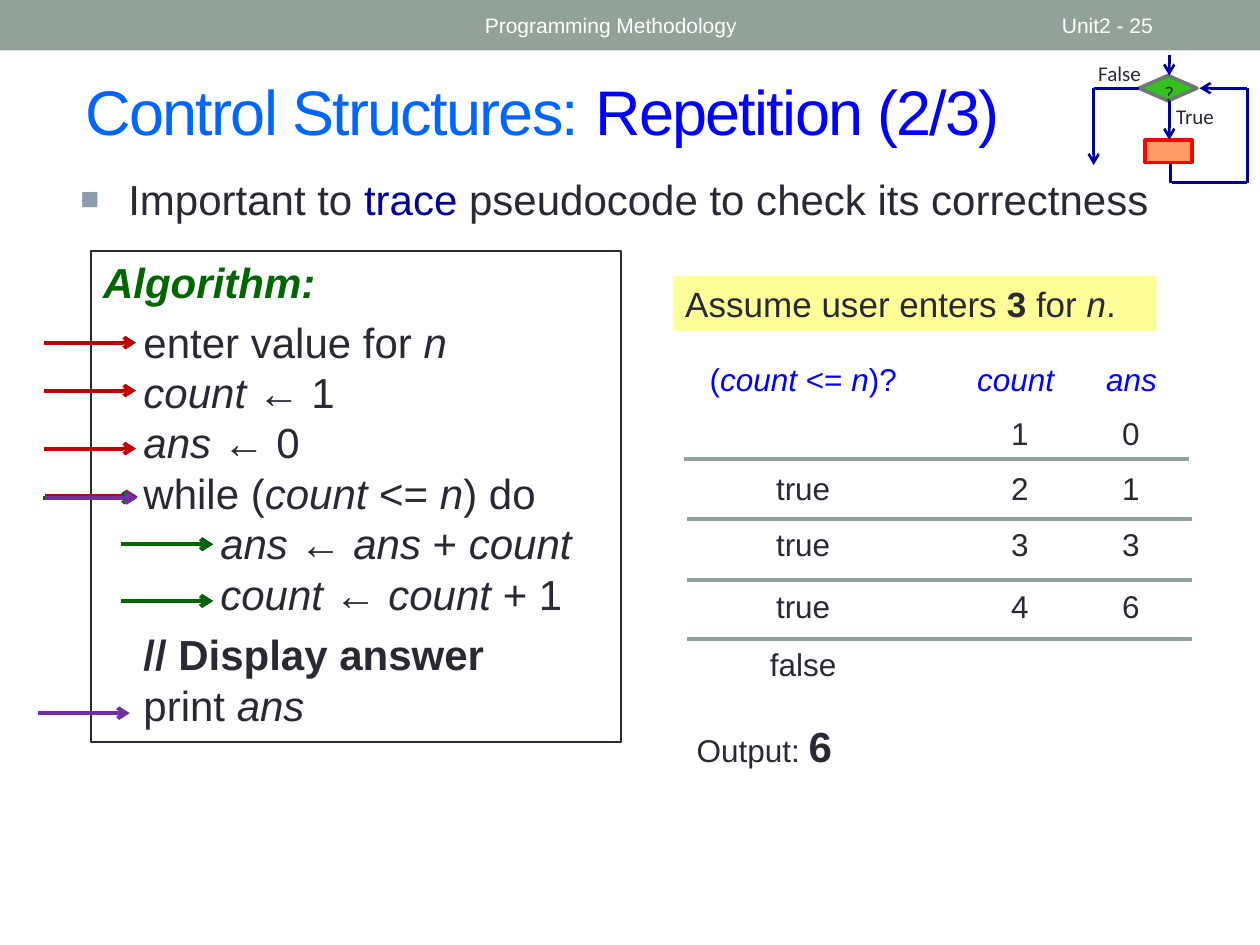
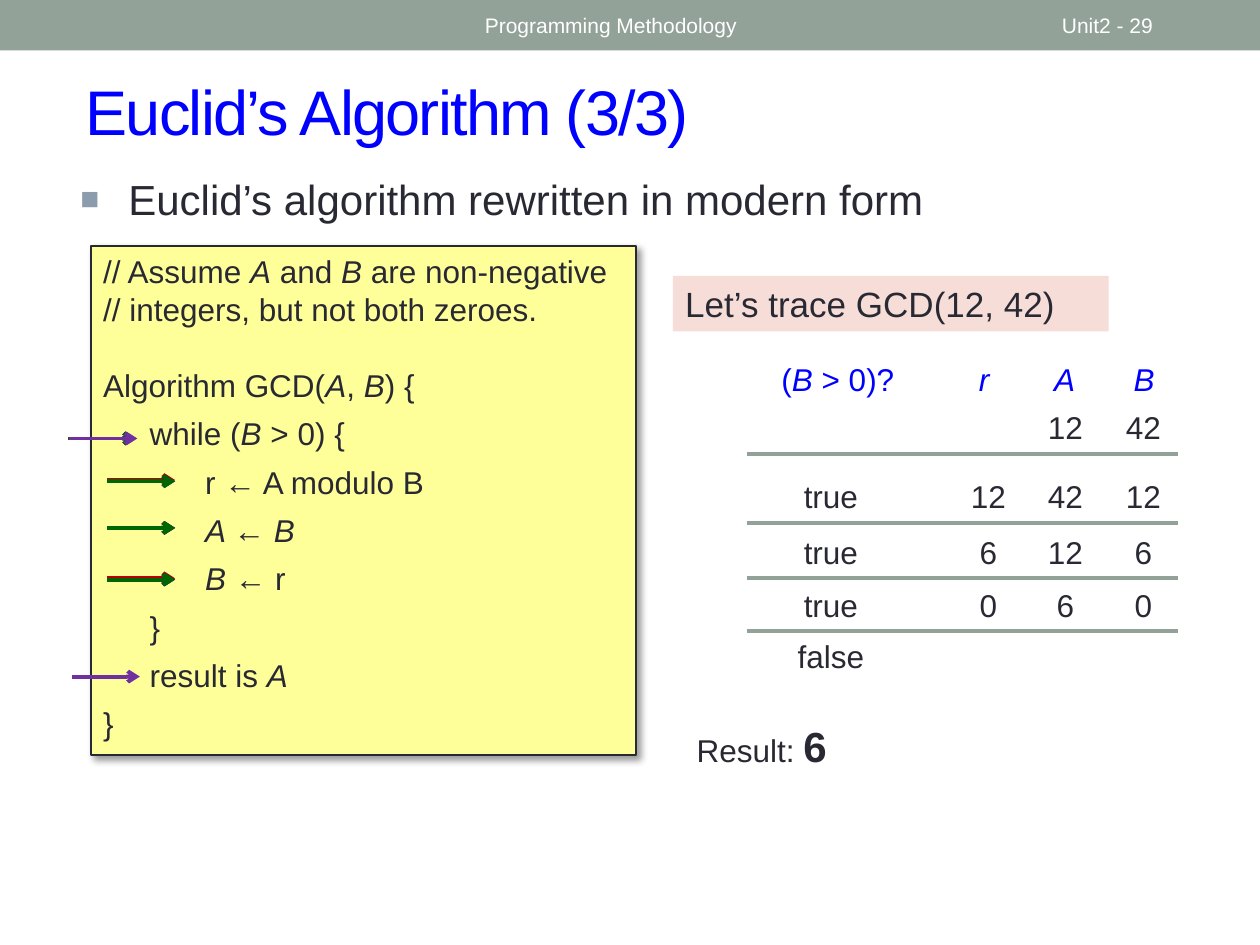
"""Build two trace slides: a counting loop and Euclid's algorithm."""
from dataclasses import dataclass
from lxml import etree
from pptx import Presentation
from pptx import util as u
from pptx.dml.color import RGBColor
from pptx.enum import shapes, text
from pptx.oxml import ns


@dataclass(frozen=True)
class Theme:
    font: str = "Arial"
    label: str = "Calibri"
    ink: str = "292934"
    band: str = "93A299"
    white: str = "FFFFFF"
    blue: str = "0000FF"
    sky: str = "0066FF"
    navy: str = "000099"
    red: str = "C00000"
    green: str = "006600"
    plum: str = "7030A0"
    yellow: str = "FFFF99"
    pink: str = "F6DDD8"
    mark: str = "8C9CAD"
    title: int = 36
    body: int = 24
    note: int = 20
    cell: int = 18
    small: int = 12


T = Theme()
LEFT, MID = text.PP_ALIGN.LEFT, text.PP_ALIGN.CENTER
TOP, CENTRE = text.MSO_ANCHOR.TOP, text.MSO_ANCHOR.MIDDLE
RECT = shapes.MSO_SHAPE.RECTANGLE
rgb = RGBColor.from_string


def write(shape, lines, size, color=T.ink, align=LEFT, anchor=TOP, font=T.font):
    """Fill a shape with lines, where *stars* mean italic and _bars_ bold."""
    frame = shape.text_frame
    frame.word_wrap = True
    frame.vertical_anchor = anchor
    for n, line in enumerate(lines):
        para = frame.add_paragraph() if n else frame.paragraphs[0]
        para.alignment = align
        para.line_spacing = u.Pt(size * 1.2)
        para.font.name = font
        para.font.size = u.Pt(size)
        para.font.color.rgb = rgb(color)
        for i, part in enumerate(line.split("*")):
            for j, bit in enumerate(part.split("_")):
                if bit:
                    run = para.add_run()
                    run.text = bit
                    if i % 2:
                        run.font.italic = True
                    if j % 2:
                        run.font.bold = True
    return frame.paragraphs


def rule(slide, x1, y1, x2, y2, color, width=2.25, head=False):
    """Draw a straight line, with an arrowhead at its end if asked."""
    line = slide.shapes.add_connector(
        shapes.MSO_CONNECTOR.STRAIGHT, *map(u.Inches, (x1, y1, x2, y2)))
    line.line.color.rgb = rgb(color)
    line.line.width = u.Pt(width)
    if head:
        etree.SubElement(line.line._get_or_add_ln(), ns.qn("a:tailEnd"), type="arrow")
    etree.SubElement(line._element.spPr, ns.qn("a:effectLst"))


pages = [
    dict(
        num="Unit2 - 25", title=["Control Structures: ", "Repetition (2/3)"],
        point=["Important to ", "trace", " pseudocode to check its correctness"],
        box=(0.72, 1.99, 4.21, 3.9), fill=None, size=T.body,
        code=["*_Algorithm:_*", "\tenter value for *n*", "\t*count *← 1", "\t*ans *← 0",
              "\twhile (*count* <= *n*) do", "\t\t*ans *← *ans *+* count*",
              "\t\t*count *← *count *+ 1", "\t_// Display answer_", "\tprint *ans*"],
        before={1: 5, 7: 6}, tabs=(0.32, 0.93),
        note="Assume user enters _3_ for *n*.", wide=3.84, tint=T.yellow,
        heads=[("(*count *<= *n*)?", 5.43, 1.89), ("*count*", 7.6, 0.92), ("*ans*", 8.52, 0.92)],
        cols=[(5.91, 0.93), (7.83, 0.53), (8.71, 0.53)],
        rows=[(3.24, ["", "1", "0"]), (3.67, ["true", "2", "1"]), (4.12, ["true", "3", "3"]),
              (4.61, ["true", "4", "6"]), (5.07, ["false"])],
        rules=[(5.43, 3.64), (5.45, 4.12), (5.45, 4.6), (5.45, 5.07)], span=4.01,
        end="Output: ", step=0.73,
        marks=[(T.red, 0.35, [2.72, 3.1, 3.56]), (T.red, 0.36, [3.94]), (T.red, 0.96, [4.32, 4.77]),
               (T.navy, 0.36, [3.95]), (T.navy, 0.96, [4.32, 4.77]),
               (T.green, 0.34, [3.95]), (T.green, 0.96, [4.32, 4.77]),
               (T.plum, 0.36, [3.95]), (T.plum, 0.3, [5.66])]),
    dict(
        num="Unit2 - 29", title=["Euclid’s Algorithm (3/3)"],
        point=["Euclid’s algorithm rewritten in modern form"],
        box=(0.72, 1.95, 4.33, 4.04), fill=T.yellow, size=T.cell,
        code=["// Assume *A* and *B* are non-negative", "// integers, but not both zeroes.",
              "Algorithm GCD(*A*, *B*) {", "\twhile (*B* > 0) {", "\t\tr ← A modulo B",
              "\t\t*A *← *B*", "\t\t*B* ← r", "\t}", "\tresult is *A*", "}"],
        before={2: 22, **dict.fromkeys(range(3, 10), 6)}, tabs=(0.37, 0.81),
        note="Let’s trace GCD(12, 42)", wide=3.46, tint=T.pink,
        heads=[("(*B *> 0)?", 6, 1.3), ("*r*", 7.54, 0.54), ("*A*", 8.18, 0.54), ("*B*", 8.81, 0.54)],
        cols=[(6.13, 0.93), (7.58, 0.53), (8.19, 0.53), (8.81, 0.53)],
        rows=[(3.19, ["", "", "12", "42"]), (3.74, ["true", "12", "42", "12"]),
              (4.18, ["true", "6", "12", "6"]), (4.6, ["true", "0", "6", "0"]), (5.01, ["false"])],
        rules=[(5.93, y) for y in (3.6, 4.15, 4.59, 5.01)], span=3.42,
        end="Result: ", step=0.54,
        marks=[(T.red, 0.54, [3.48]), (T.red, 0.85, [3.81, 4.19, 4.59]),
               (T.blue, 0.54, [3.48]), (T.blue, 0.85, [3.82, 4.19, 4.6]),
               (T.green, 0.54, [3.48]), (T.green, 0.85, [3.82, 4.19, 4.6]),
               (T.plum, 0.55, [3.48]), (T.plum, 0.57, [5.37])]),
]

deck = Presentation()
deck.slide_width, deck.slide_height = u.Inches(10), u.Inches(7.5)

for page in pages:
    slide = deck.slides.add_slide(deck.slide_layouts[5])
    add = slide.shapes

    band = add.add_shape(RECT, 0, 0, u.Inches(10), u.Inches(0.4))
    band.shadow.inherit = False
    band.fill.solid()
    band.fill.fore_color.rgb = rgb(T.band)
    band.line.fill.background()
    for words, x, w in (("Programming Methodology", 3.75, 4.5), (page["num"], 8.33, 1.17)):
        foot = add.add_textbox(*map(u.Inches, (x, 0.02, w, 0.36)))
        write(foot, [words], T.small, T.white, anchor=CENTRE)

    head = add.title
    head.left, head.top, head.width, head.height = map(u.Inches, (0.58, 0.5, 8.92, 0.75))
    para = write(head, ["_".join(page["title"]).replace("_", "**")], T.title, T.blue, anchor=CENTRE)[0]
    for run in para.runs:
        run._r.get_or_add_rPr().set("spc", "-100")
    if len(para.runs) > 1:
        para.runs[0].font.color.rgb = rgb(T.sky)

    point = add.add_textbox(*map(u.Inches, (0.54, 1.33, 9.15, 0.66)))
    para = write(point, ["**".join(page["point"])], T.body)[0]
    if len(para.runs) > 1:
        para.runs[1].font.italic = None
        para.runs[1].font.color.rgb = rgb(T.navy)
    props = para._p.pPr
    props.set("marL", str(u.Inches(0.38)))
    props.set("indent", str(-u.Inches(0.38)))
    last = props.find(ns.qn("a:defRPr"))
    for tag, attr in (("buClr", {}), ("buSzPct", {"val": "75000"}),
                      ("buFont", {"typeface": T.font}), ("buChar", {"char": "■"})):
        item = etree.Element(ns.qn("a:" + tag), attr)
        if tag == "buClr":
            etree.SubElement(item, ns.qn("a:srgbClr"), val=T.mark)
        last.addprevious(item)

    box = add.add_shape(RECT, *map(u.Inches, page["box"]))
    box.shadow.inherit = False
    box.line.color.rgb = rgb(T.ink)
    box.line.width = u.Pt(1)
    if page["fill"]:
        box.fill.solid()
        box.fill.fore_color.rgb = rgb(page["fill"])
        fx = box._element.spPr.find(ns.qn("a:effectLst"))
        shade = etree.SubElement(fx, ns.qn("a:outerShdw"), blurRad=str(u.Pt(4)),
                                 dist=str(u.Pt(3)), dir="2700000", algn="tl", rotWithShape="0")
        tone = etree.SubElement(shade, ns.qn("a:srgbClr"), val="000000")
        etree.SubElement(tone, ns.qn("a:alpha"), val="40000")
    else:
        box.fill.background()
    code = write(box, page["code"], page["size"])
    for n, para in enumerate(code):
        if n in page["before"]:
            para.space_before = u.Pt(page["before"][n])
        stops = etree.Element(ns.qn("a:tabLst"))
        for x in page["tabs"]:
            etree.SubElement(stops, ns.qn("a:tab"), pos=str(u.Inches(x)), algn="l")
        para._p.pPr.find(ns.qn("a:defRPr")).addprevious(stops)
    if not page["fill"]:
        code[0].font.color.rgb = rgb(T.green)

    note = add.add_shape(RECT, *map(u.Inches, (5.34, 2.19, page["wide"], 0.44)))
    note.shadow.inherit = False
    note.fill.solid()
    note.fill.fore_color.rgb = rgb(page["tint"])
    note.line.fill.background()
    write(note, [page["note"]], T.note)

    for words, x, w in page["heads"]:
        cell = add.add_textbox(*map(u.Inches, (x, 2.81, w, 0.4)))
        write(cell, [words], T.cell, T.blue, MID)
    for y, row in page["rows"]:
        for (x, w), words in zip(page["cols"], row):
            if words:
                cell = add.add_textbox(*map(u.Inches, (x, y, w, 0.4)))
                write(cell, [words], T.cell, align=MID)
    for x, y in page["rules"]:
        rule(slide, x, y, x + page["span"], y, T.band)

    end = add.add_textbox(*map(u.Inches, (5.43, 5.67, 1.72, 0.5)))
    para = write(end, [page["end"] + "_6_"], T.body)[0]
    para.runs[0].font.size = u.Pt(T.cell)

    for color, x, ys in page["marks"]:
        for y in ys:
            rule(slide, x, y, x + page["step"], y, color, head=True)

slide = deck.slides[0]
for kind, spot, fill, edge in (
        (shapes.MSO_SHAPE.FLOWCHART_DECISION, (9.04, 0.6, 0.46, 0.2), "34C21C", "6D7871"),
        (RECT, (9.09, 1.11, 0.37, 0.18), "FF9966", "FF0000")):
    node = slide.shapes.add_shape(kind, *map(u.Inches, spot))
    node.shadow.inherit = False
    node.fill.solid()
    node.fill.fore_color.rgb = rgb(fill)
    node.line.color.rgb = rgb(edge)
    node.line.width = u.Pt(2.08)
for *ends, tip in (
        (9.28, 0.44, 9.28, 0.6, True), (9.28, 0.8, 9.28, 1.11, True),
        (9.29, 1.29, 9.29, 1.45, False), (9.3, 1.45, 9.9, 1.45, False),
        (9.9, 0.7, 9.9, 1.45, False), (9.9, 0.7, 9.52, 0.7, True),
        (8.68, 0.7, 9.04, 0.7, False), (8.68, 0.7, 8.68, 1.31, True)):
    rule(slide, *ends, T.navy, 1.5, tip)
for words, *spot in (("True", 9.23, 0.77, 0.51, 0.25), ("False", 8.59, 0.43, 0.59, 0.25),
                     ("?", 9.14, 0.59, 0.28, 0.3)):
    tag = slide.shapes.add_textbox(*map(u.Inches, spot))
    write(tag, [words], T.small, align=MID, font=T.label)
    tag.text_frame.word_wrap = words != "?"

deck.save("out.pptx")
